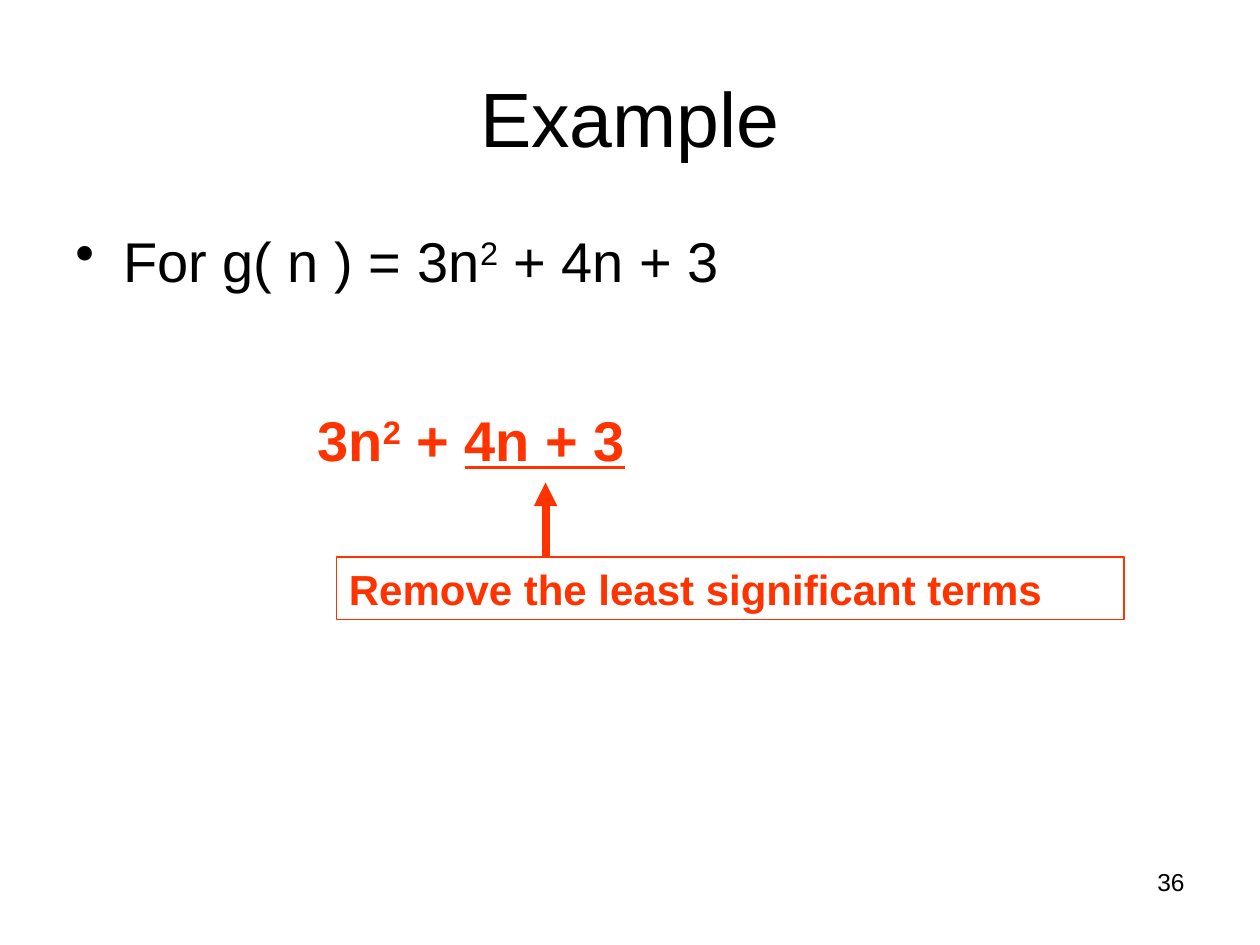
import pptx
import pptx.util
import pptx.dml.color
import pptx.enum.shapes
import pptx.enum.text
import pptx.oxml.ns
from lxml import etree

Inches = pptx.util.Inches
Pt = pptx.util.Pt
Align = pptx.enum.text.PP_ALIGN
Anchor = pptx.enum.text.MSO_ANCHOR
qn = pptx.oxml.ns.qn

BLACK = pptx.dml.color.RGBColor(0x00, 0x00, 0x00)
RED = pptx.dml.color.RGBColor(0xFF, 0x33, 0x00)


class Deck:
    font = "Arial"

    def __init__(self, width, height):
        self.prs = pptx.Presentation()
        self.prs.slide_width = Inches(width)
        self.prs.slide_height = Inches(height)
        self.slide = self.prs.slides.add_slide(self.prs.slide_layouts[6])

    def fill(self, shape, runs, size, color=BLACK, bold=False,
             align=Align.LEFT, anchor=Anchor.TOP, bullet=False):
        """Write runs of (text, style); style is "", "sup" or "line"."""
        frame = shape.text_frame
        frame.word_wrap = True
        frame.vertical_anchor = anchor
        para = frame.paragraphs[0]
        para.alignment = align
        if bullet:
            props = para._p.get_or_add_pPr()
            props.set("marL", str(Inches(0.38)))
            props.set("indent", str(Inches(-0.38)))
            etree.SubElement(props, qn("a:buChar")).set("char", "•")
        for text, style in runs:
            run = para.add_run()
            run.text = text
            font = run.font
            font.name, font.size, font.bold = self.font, Pt(size), bold
            font.color.rgb = color
            if style == "line":
                font.underline = True
            elif style == "sup":
                run._r.get_or_add_rPr().set("baseline", "30000")

    def text(self, box, runs, size, **style):
        shape = self.slide.shapes.add_textbox(*map(Inches, box))
        self.fill(shape, runs, size, **style)

    def frame(self, box, runs, size, color):
        kind = pptx.enum.shapes.MSO_SHAPE.RECTANGLE
        shape = self.slide.shapes.add_shape(kind, *map(Inches, box))
        shape.shadow.inherit = False
        shape.fill.background()
        shape.line.color.rgb = color
        shape.line.width = Pt(0.75)
        self.fill(shape, runs, size, color=color, bold=True)

    def arrow(self, start, end, color, width):
        kind = pptx.enum.shapes.MSO_CONNECTOR.STRAIGHT
        line = self.slide.shapes.add_connector(
            kind, *map(Inches, start + end))
        line.line.color.rgb = color
        line.line.width = Pt(width)
        tip = etree.SubElement(line.line._get_or_add_ln(), qn("a:tailEnd"))
        tip.set("type", "triangle")
        etree.SubElement(line._element.spPr, qn("a:effectLst"))


def main():
    deck = Deck(10, 7.5)

    # Title
    deck.text((0.5, 0.3, 9, 1.25), [("Example", "")], 44,
              align=Align.CENTER, anchor=Anchor.MIDDLE)

    # Function
    deck.text((0.5, 1.75, 9, 4.95),
              [("For g( n ) = 3n", ""), ("2", "sup"), (" + 4n + 3", "")],
              32, bullet=True)

    # Terms to drop
    deck.text((2.42, 3.17, 5.25, 0.64),
              [("3n", ""), ("2", "sup"), (" + ", ""), ("4n + 3", "line")],
              32, color=RED, bold=True)

    # Note and its arrow
    deck.frame((2.67, 4.42, 6.25, 0.5),
               [("Remove the least significant terms", "")], 24, RED)
    deck.arrow((4.33, 4.42), (4.33, 3.83), RED, 4.5)

    # Page number
    deck.text((7.17, 6.83, 2.33, 0.52), [("36", "")], 14, align=Align.RIGHT)

    deck.prs.save("out.pptx")


if __name__ == "__main__":
    main()
